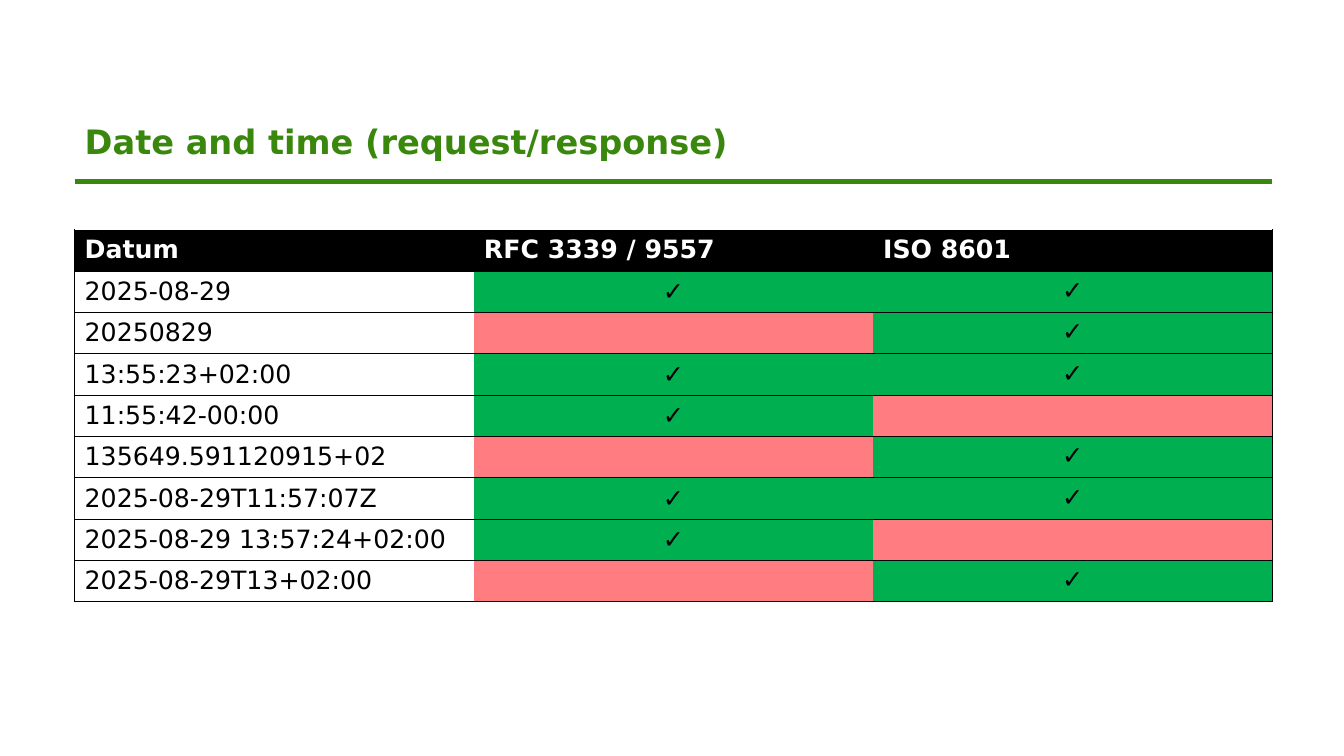
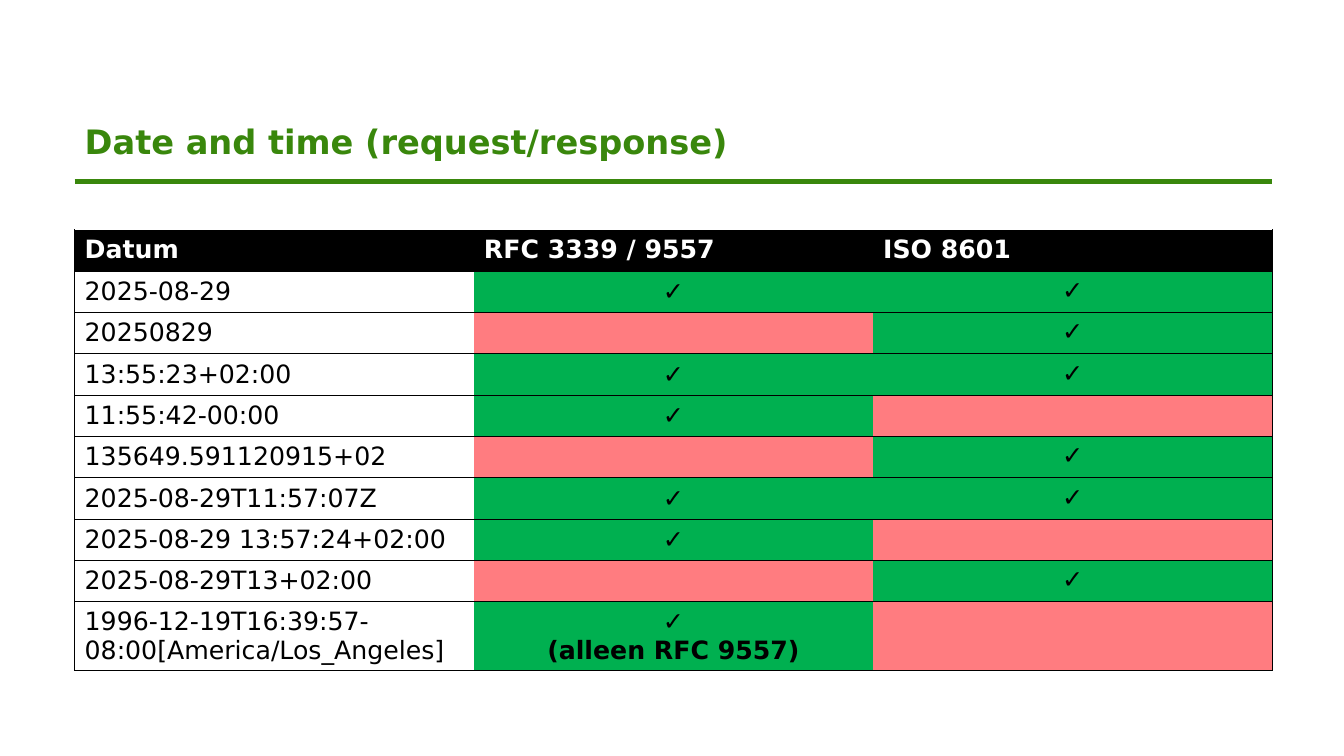
import pptx
import pptx.util
import pptx.dml.color
import pptx.enum.text
import pptx.enum.shapes
import pptx.oxml.ns
from lxml import etree

WIDE, HIGH = 13.33, 7.5
LEFT, COL, ROW = 0.74, 3.96, 0.41
FONT = "DejaVu Sans"
LEAF, GREEN, RED = "39870C", "00B050", "FF7C80"
BLACK, WHITE = "000000", "FFFFFF"
TITLE = "Date and time (request/response)"
HEADS = ("Datum", "RFC 3339 / 9557", "ISO 8601")
TICK = "✓"
DATES = [
    ("2025-08-29", TICK, TICK),
    ("20250829", "", TICK),
    ("13:55:23+02:00", TICK, TICK),
    ("11:55:42-00:00", TICK, ""),
    ("135649.591120915+02", "", TICK),
    ("2025-08-29T11:57:07Z", TICK, TICK),
    ("2025-08-29 13:57:24+02:00", TICK, ""),
    ("2025-08-29T13+02:00", "", TICK),
]
ZONED = ("1996-12-19T16:39:57-08:00[America/Los_Angeles]",
         TICK + "\n(alleen RFC 9557)", "")


def inch(size):
    """Turn inches into a length."""
    return pptx.util.Inches(size)


def tint(color, code):
    """Set a colour from a hex string."""
    color.rgb = pptx.dml.color.RGBColor.from_string(code)


def style(para, size, code, bold):
    """Set the font of a paragraph."""
    font = para.font
    font.name, font.size, font.bold = FONT, pptx.util.Pt(size), bold
    font.fill.solid()
    tint(font.fill.fore_color, code)


def head(slide):
    """Place the title and the rule below it."""
    title = slide.shapes.title
    title.left, title.top = inch(LEFT), inch(0.94)
    title.width, title.height = inch(3 * COL), inch(0.71)
    frame = title.text_frame
    frame.text = TITLE
    frame.auto_size = pptx.enum.text.MSO_AUTO_SIZE.NONE
    frame.vertical_anchor = pptx.enum.text.MSO_ANCHOR.BOTTOM
    para = frame.paragraphs[0]
    para.alignment = pptx.enum.text.PP_ALIGN.LEFT
    para.line_spacing = 0.9
    style(para, 24, LEAF, True)
    rule = slide.shapes.add_connector(
        pptx.enum.shapes.MSO_CONNECTOR.STRAIGHT,
        inch(LEFT), inch(1.8), inch(LEFT + 3 * COL), inch(1.8))
    rule.line.width = pptx.util.Pt(3)
    tint(rule.line.color, LEAF)
    etree.SubElement(rule._element.spPr, pptx.oxml.ns.qn("a:effectLst"))


def border(cell, col):
    """Rule a cell above and below, and at the outer sides."""
    qn = pptx.oxml.ns.qn
    props = cell._tc.get_or_add_tcPr()
    shown = {"L": col == 0, "R": col == 2, "T": True, "B": True}
    for spot, (side, drawn) in enumerate(shown.items()):
        line = etree.Element(qn("a:ln" + side), w=str(pptx.util.Pt(0.5)))
        if drawn:
            fill = etree.SubElement(line, qn("a:solidFill"))
            etree.SubElement(fill, qn("a:srgbClr"), val=BLACK)
        else:
            etree.SubElement(line, qn("a:noFill"))
        props.insert(spot, line)


def fill(cell, text, row, col):
    """Write and colour one cell by its place."""
    top, mark = row == 0, row > 0 and col > 0
    cell.text = text
    if not top and col < 2:
        cell.vertical_anchor = pptx.enum.text.MSO_ANCHOR.MIDDLE
    for para in cell.text_frame.paragraphs:
        if mark:
            para.alignment = pptx.enum.text.PP_ALIGN.CENTER
        style(para, 18, WHITE if top else BLACK, top or mark)
    cell.fill.solid()
    if mark:
        code = GREEN if text else RED
    else:
        code = BLACK if top else WHITE
    tint(cell.fill.fore_color, code)
    border(cell, col)


def grid(slide, rows):
    """Add the table of date formats."""
    table = slide.shapes.add_table(
        len(rows), 3, inch(LEFT), inch(2.28),
        inch(3 * COL), inch(len(rows) * ROW)).table
    table.first_row = table.horz_banding = False
    for row, texts in enumerate(rows):
        for col, text in enumerate(texts):
            fill(table.cell(row, col), text, row, col)


def main():
    """Build and save the slides."""
    deck = pptx.Presentation()
    deck.slide_width, deck.slide_height = inch(WIDE), inch(HIGH)
    for more in ([], [ZONED]):
        slide = deck.slides.add_slide(deck.slide_layouts[5])
        head(slide)
        grid(slide, [HEADS] + DATES + more)
    deck.save("out.pptx")


if __name__ == "__main__":
    main()
